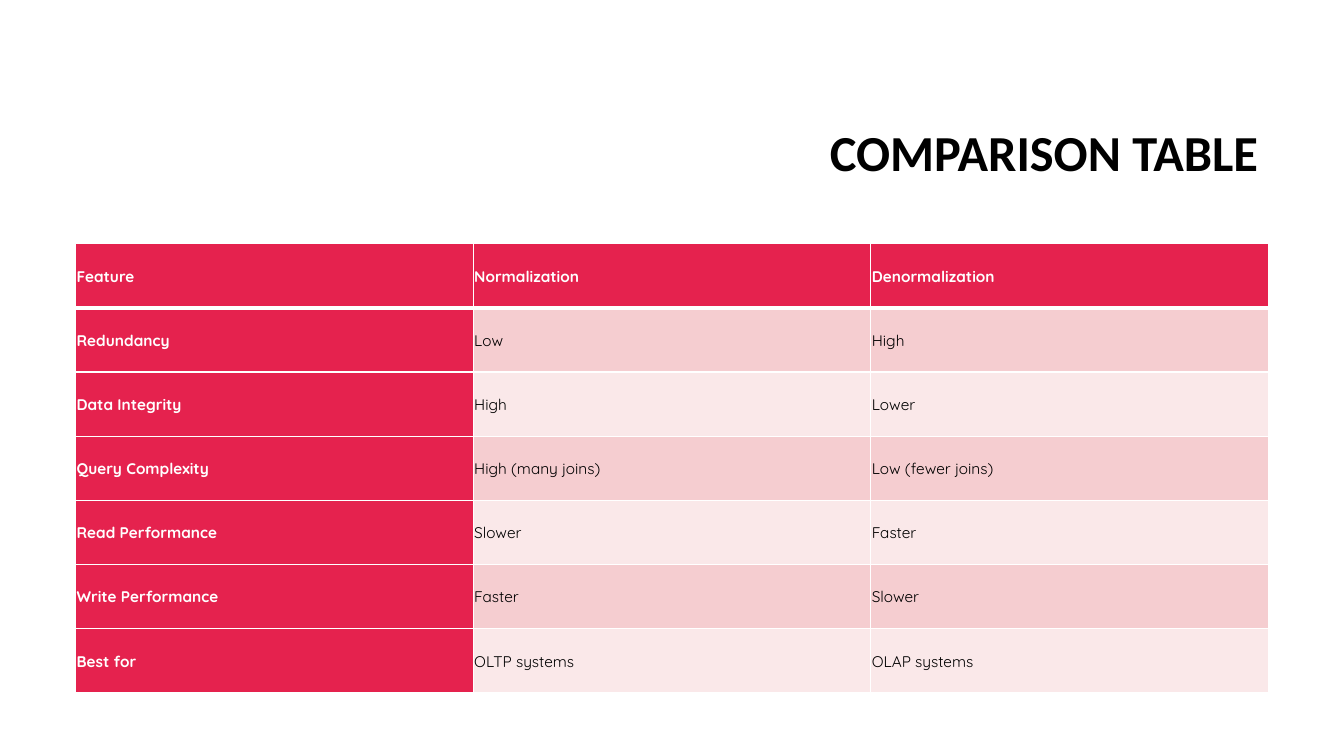
"""Build a slide comparing normalization with denormalization."""
import lxml.etree
import pptx
import pptx.dml.color
import pptx.enum.text
import pptx.oxml.ns
import pptx.util

THEME = {
    "accent": "E5224E", "bands": ("F5CDD0", "FAE8E9"),
    "ink": "000000", "paper": "FFFFFF",
    "title_font": "Calibri", "title_size": 36,
    "table_font": "Quicksand", "table_size": 11,
    "rule": 1, "header_rule": 3,
}
COMPARISON = [
    ("Feature", "Normalization", "Denormalization"),
    ("Redundancy", "Low", "High"),
    ("Data Integrity", "High", "Lower"),
    ("Query Complexity", "High (many joins)", "Low (fewer joins)"),
    ("Read Performance", "Slower", "Faster"),
    ("Write Performance", "Faster", "Slower"),
    ("Best for", "OLTP systems", "OLAP systems"),
]
GRID_COLUMNS, GRID_ROWS = 160, 90
MIDDLE = pptx.enum.text.MSO_ANCHOR.MIDDLE


def apply_format(target, values):
    """Set each attribute named in values on target."""
    for attribute, value in values.items():
        setattr(target, attribute, value)


def format_text(paragraph, typeface, size, color, bold):
    """Give the paragraph's only run its font."""
    font = paragraph.runs[0].font
    apply_format(font, {"name": typeface, "size": pptx.util.Pt(size), "bold": bold})
    font.color.rgb = pptx.dml.color.RGBColor.from_string(color)


deck = pptx.Presentation()
apply_format(deck, {"slide_width": pptx.util.Inches(13.33),
                    "slide_height": pptx.util.Inches(7.5)})
column, row = deck.slide_width / GRID_COLUMNS, deck.slide_height / GRID_ROWS
slide = deck.slides.add_slide(deck.slide_layouts[5])

heading = slide.shapes.title
apply_format(heading, {"left": int(38 * column), "top": int(10 * row),
                       "width": int(113 * column), "height": int(17 * row)})
apply_format(heading.text_frame, {
    "text": "COMPARISON TABLE", "word_wrap": True, "vertical_anchor": MIDDLE,
    "auto_size": pptx.enum.text.MSO_AUTO_SIZE.NONE})
heading_line = heading.text_frame.paragraphs[0]
apply_format(heading_line, {"alignment": pptx.enum.text.PP_ALIGN.RIGHT,
                            "line_spacing": 0.9})
format_text(heading_line, THEME["title_font"], THEME["title_size"], THEME["ink"], True)

comparison = slide.shapes.add_table(
    len(COMPARISON), len(COMPARISON[0]), int(9 * column), int(29 * row),
    int(142 * column), int(53.5 * row)).table
comparison.first_col = True

inset = pptx.util.Inches(0.01)
cell_format = {"vertical_anchor": MIDDLE, "margin_left": inset, "margin_right": inset,
               "margin_top": inset, "margin_bottom": inset}
for r, feature in enumerate(COMPARISON):
    for c, wording in enumerate(feature):
        is_heading = r == 0 or c == 0
        cell = comparison.cell(r, c)
        apply_format(cell, {"text": wording, **cell_format})
        cell.fill.solid()
        cell.fill.fore_color.rgb = pptx.dml.color.RGBColor.from_string(
            THEME["accent"] if is_heading else THEME["bands"][(r - 1) % 2])
        entry = cell.text_frame.paragraphs[0]
        apply_format(entry, {"line_spacing": 1.07, "space_after": pptx.util.Pt(8),
                             "alignment": pptx.enum.text.PP_ALIGN.LEFT})
        format_text(entry, THEME["table_font"], THEME["table_size"],
                    THEME["paper"] if is_heading else THEME["ink"], is_heading)

        properties = cell._tc.get_or_add_tcPr()
        for position, side in enumerate(("lnL", "lnR", "lnT", "lnB")):
            under_header = (r, side) in ((0, "lnB"), (1, "lnT"))
            weight = THEME["header_rule" if under_header else "rule"]
            border = lxml.etree.Element(pptx.oxml.ns.qn(f"a:{side}"),
                                        w=str(pptx.util.Pt(weight)))
            paint = lxml.etree.SubElement(border, pptx.oxml.ns.qn("a:solidFill"))
            lxml.etree.SubElement(paint, pptx.oxml.ns.qn("a:srgbClr"), val=THEME["paper"])
            properties.insert(position, border)

deck.save("out.pptx")
